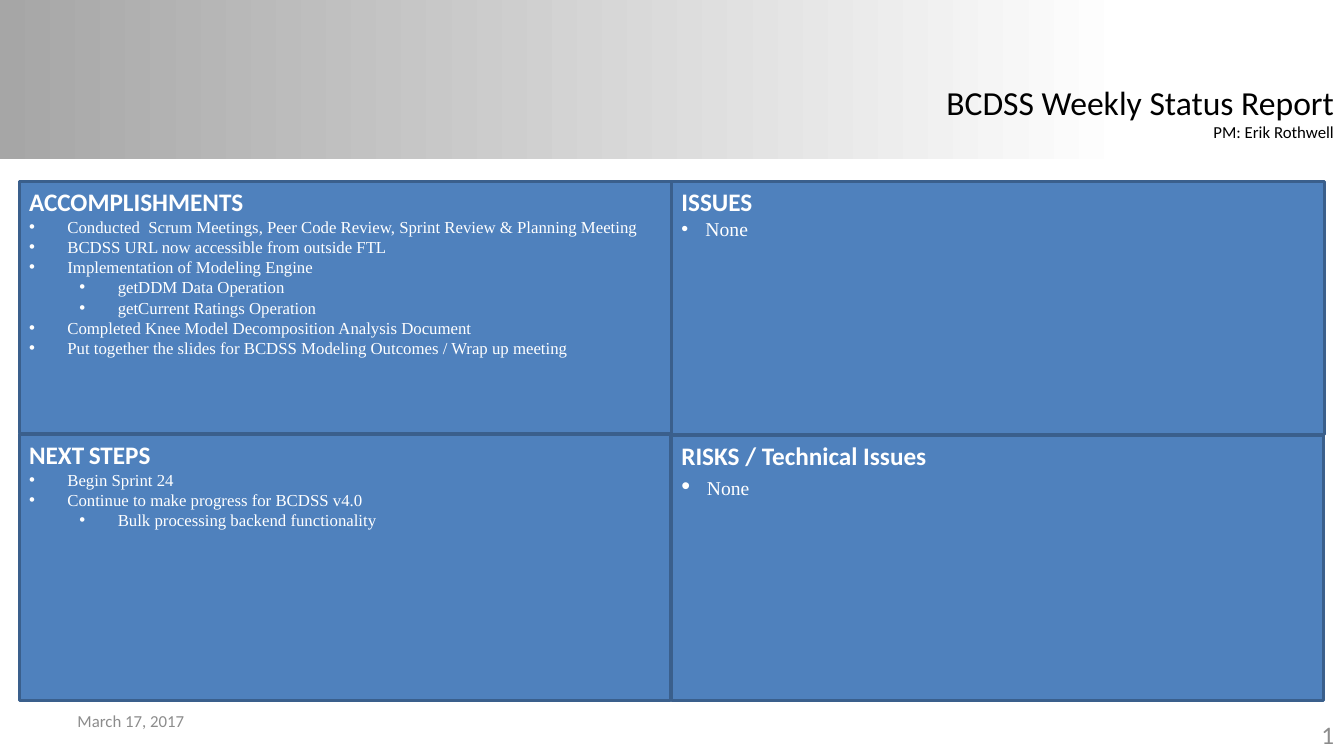
from lxml.etree import SubElement
from pptx import Presentation
from pptx.dml.color import RGBColor
from pptx.enum.shapes import MSO_SHAPE
from pptx.enum.text import MSO_ANCHOR, MSO_AUTO_SIZE, PP_ALIGN
from pptx.oxml.ns import qn
from pptx.util import Inches, Pt

COLORS = {
    "band": "A6A6A6",
    "white": "FFFFFF",
    "black": "000000",
    "panel": "4F81BD",
    "border": "3A5F8C",
    "footer": "8C8C8C",
}
HEADING_FONT, BODY_FONT = "Calibri", "Times New Roman"


def color(name):
    return RGBColor.from_string(COLORS[name])


def add_text(paragraph, text, size=12, font=HEADING_FONT, ink="black",
             bold=False, align=PP_ALIGN.LEFT):
    paragraph.alignment = align
    run = paragraph.add_run()
    run.text = text
    run.font.size = Pt(size)
    run.font.name = font
    run.font.bold = bold
    run.font.color.rgb = color(ink)


def add_bullet(paragraph, level, hang):
    paragraph.level = level
    properties = paragraph._p.get_or_add_pPr()
    properties.set("marL", str(Inches(hang + 0.5 * level)))
    properties.set("indent", str(-Inches(hang)))
    SubElement(properties, qn("a:buFont")).set("typeface", "Arial")
    SubElement(properties, qn("a:buChar")).set("char", "•")


class StatusSlide:
    def __init__(self, slide):
        self.shapes = slide.shapes

    def rectangle(self, left, top, width, height):
        shape = self.shapes.add_shape(
            MSO_SHAPE.RECTANGLE, Inches(left), Inches(top), Inches(width), Inches(height))
        shape.shadow.inherit = False
        return shape

    def band(self, width, height):
        band = self.rectangle(0, 0, width, height)
        band.line.fill.background()
        band.fill.gradient()
        band.fill.gradient_angle = 0
        stops = [(0, "band"), (0.84, "white")]
        for stop, (position, name) in zip(band.fill.gradient_stops, stops):
            stop.position = position
            stop.color.rgb = color(name)

    def label(self, left, top, width, height, lines, anchor=MSO_ANCHOR.MIDDLE,
              wrap=True, fit=MSO_AUTO_SIZE.NONE, **style):
        frame = self.shapes.add_textbox(
            Inches(left), Inches(top), Inches(width), Inches(height)).text_frame
        frame.word_wrap = wrap
        frame.auto_size = fit
        frame.vertical_anchor = anchor
        for index, (text, size) in enumerate(lines):
            paragraph = frame.add_paragraph() if index else frame.paragraphs[0]
            add_text(paragraph, text, size=size, **style)

    def panel(self, left, top, width, height, heading, items, hang):
        """Heading is a list of (text, size); items are (level, [(text, size)])."""
        panel = self.rectangle(left, top, width, height)
        panel.fill.solid()
        panel.fill.fore_color.rgb = color("panel")
        panel.line.color.rgb = color("border")
        panel.line.width = Pt(2)
        frame = panel.text_frame
        frame.word_wrap = True
        frame.vertical_anchor = MSO_ANCHOR.TOP
        for text, size in heading:
            add_text(frame.paragraphs[0], text, size=size, ink="white", bold=True)
        for level, pieces in items:
            paragraph = frame.add_paragraph()
            for text, size in pieces:
                add_text(paragraph, text, size=size, font=BODY_FONT, ink="white")
            add_bullet(paragraph, level, hang)


def main():
    presentation = Presentation()
    presentation.slide_width = Inches(13.33)
    presentation.slide_height = Inches(7.5)
    status = StatusSlide(presentation.slides.add_slide(presentation.slide_layouts[6]))

    # Header band, page number and title
    status.band(13.33, 1.58)
    status.label(10.22, 7.09, 3.11, 0.4, [("1", 18)], ink="footer", align=PP_ALIGN.RIGHT)
    status.label(9.25, 0.76, 4.08, 0.71,
                 [("BCDSS Weekly Status Report", 24), ("PM: Erik Rothwell", 12)],
                 anchor=MSO_ANCHOR.TOP, wrap=False, fit=MSO_AUTO_SIZE.SHAPE_TO_FIT_TEXT,
                 align=PP_ALIGN.RIGHT)

    # Four status panels
    accomplishments = [
        (0, "Conducted  Scrum Meetings, Peer Code Review, Sprint Review & Planning Meeting"),
        (0, "BCDSS URL now accessible from outside FTL"),
        (0, "Implementation of Modeling Engine"),
        (1, "getDDM Data Operation"),
        (1, "getCurrent Ratings Operation"),
        (0, "Completed Knee Model Decomposition Analysis Document"),
        (0, "Put together the slides for BCDSS Modeling Outcomes / Wrap up meeting"),
    ]
    next_steps = [
        (0, "Begin Sprint 24"),
        (0, "Continue to make progress for BCDSS v4.0"),
        (1, "Bulk processing backend functionality"),
    ]
    status.panel(0.19, 1.8, 6.47, 2.5, [("ACCOMPLISHMENTS", 18)],
                 [(level, [(text, 12)]) for level, text in accomplishments], hang=0.38)
    status.panel(0.19, 4.31, 6.46, 2.64, [("NEXT", 18), (" ", 14), ("STEPS", 18)],
                 [(level, [(text, 12)]) for level, text in next_steps], hang=0.38)
    status.panel(6.66, 1.8, 6.48, 2.51, [("ISSUES", 18)],
                 [(0, [(" None", 14)])], hang=0.19)
    status.panel(6.66, 4.32, 6.47, 2.63, [("RISKS / Technical Issues", 18)],
                 [(0, [(" ", 18), ("None", 14)])], hang=0.19)

    # Report date
    status.label(0.67, 6.95, 3.11, 0.4, [("March 17, 2017", 12)], ink="footer")

    presentation.save("out.pptx")


if __name__ == "__main__":
    main()
